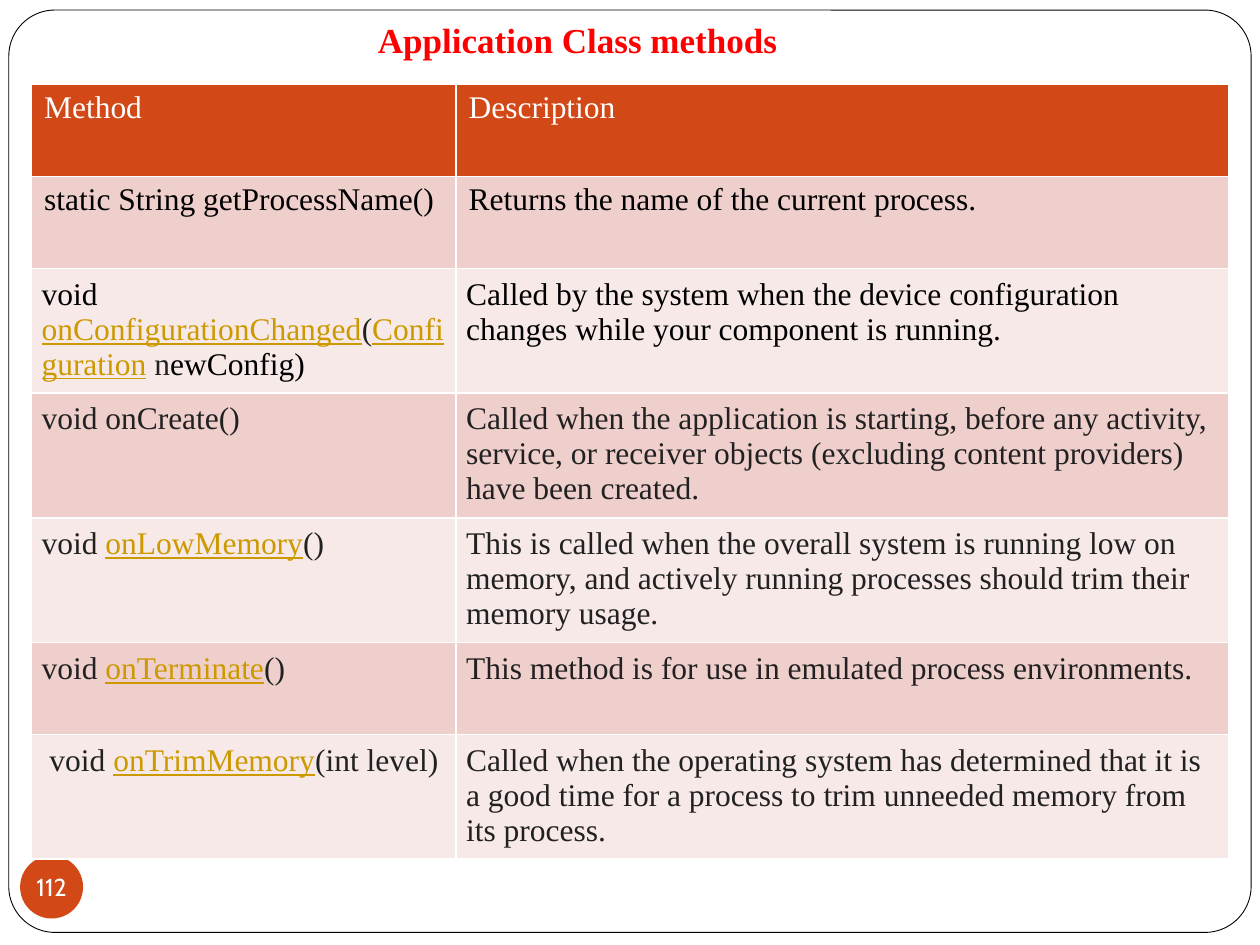
from dataclasses import dataclass

from lxml.etree import SubElement
from pptx import Presentation
from pptx.dml.color import RGBColor
from pptx.enum.shapes import MSO_SHAPE
from pptx.enum.text import MSO_ANCHOR, PP_ALIGN
from pptx.oxml.ns import qn
from pptx.util import Inches, Pt


@dataclass(frozen=True)
class Theme:
    """Colours, fonts and type sizes of the slide."""
    white: str = "FFFFFF"
    black: str = "000000"
    ink: str = "212121"
    link: str = "CC9900"
    title: str = "FF0000"
    accent: str = "D34817"
    bands: tuple = ("EFCFCC", "F7E9E8")
    body_font: str = "Times New Roman"
    number_font: str = "Cabin"
    title_size: int = 20
    body_size: int = 18
    number_size: int = 14


THEME = Theme()
BLACK, INK, LINK = THEME.black, THEME.ink, THEME.link
SHORT_ROW, TALL_ROW = 0.73, 0.98
HEADER = ("Method", "Description")
METHODS = [
    (SHORT_ROW,
     [("static String getProcessName()", BLACK)],
     [("Returns the name of the current process.", BLACK)]),
    (TALL_ROW,
     [("void ", BLACK), ("onConfigurationChanged", LINK), ("(", INK),
      ("Configuration", LINK), (" n", INK), ("ewConfig)", BLACK)],
     [("Called by the system when the device configuration changes while "
       "your component is running.", BLACK)]),
    (TALL_ROW,
     [("void onCreate()", INK)],
     [("Called when the application is starting, before any activity, service, "
       "or receiver objects (excluding content providers) have been created.", INK)]),
    (TALL_ROW,
     [("void ", INK), ("onLowMemory", LINK), ("()", INK)],
     [("This is called when the overall system is running low on memory, and "
       "actively running processes should trim their memory usage.", INK)]),
    (SHORT_ROW,
     [("void ", INK), ("onTerminate", LINK), ("()", INK)],
     [("This method is for use in emulated process environments.", INK)]),
    (TALL_ROW,
     [(" void ", INK), ("onTrimMemory", LINK), ("(int level)", INK)],
     [("Called when the operating system has determined that it is a good time "
       "for a process to trim unneeded memory from its process.", INK)]),
]


def rgb(value):
    """Return a colour object for a hex value."""
    return RGBColor.from_string(value)


def set_font(font, name, size, color):
    """Set the name, size and colour of a font."""
    font.name, font.size = name, Pt(size)
    font.color.rgb = rgb(color)


def set_margins(target, left, top, right, bottom):
    """Set the four text margins of a frame or cell."""
    target.margin_left, target.margin_top = Inches(left), Inches(top)
    target.margin_right, target.margin_bottom = Inches(right), Inches(bottom)


def add_frame(page, left, top, width, height):
    """Draw the rounded outline round the page."""
    frame = page.shapes.add_shape(MSO_SHAPE.ROUNDED_RECTANGLE, Inches(left),
                                  Inches(top), Inches(width), Inches(height))
    frame.adjustments[0] = 0.05
    frame.shadow.inherit = False
    frame.fill.solid()
    frame.fill.fore_color.rgb = rgb(THEME.white)
    frame.line.color.rgb = rgb(THEME.black)
    frame.line.width = Pt(0.5)


def add_title(page, text, left, top, width, height):
    """Place the centred title on the bottom of its box."""
    box = page.shapes.add_textbox(Inches(left), Inches(top), Inches(width), Inches(height))
    frame = box.text_frame
    frame.word_wrap = True
    frame.vertical_anchor = MSO_ANCHOR.BOTTOM
    set_margins(frame, 0.1, 0.05, 0.1, 0.1)
    para = frame.paragraphs[0]
    para.text = text
    para.alignment = PP_ALIGN.CENTER
    set_font(para.font, THEME.body_font, THEME.title_size, THEME.title)
    para.font.bold = True


def add_page_number(page, text, left, top, size):
    """Draw the round badge with the page number."""
    badge = page.shapes.add_shape(MSO_SHAPE.OVAL, Inches(left), Inches(top),
                                  Inches(size), Inches(size))
    badge.shadow.inherit = False
    badge.fill.solid()
    badge.fill.fore_color.rgb = rgb(THEME.accent)
    badge.line.fill.background()
    frame = badge.text_frame
    frame.word_wrap = False
    frame.vertical_anchor = MSO_ANCHOR.MIDDLE
    set_margins(frame, 0, 0, 0, 0)
    para = frame.paragraphs[0]
    para.text = text
    para.alignment = PP_ALIGN.CENTER
    set_font(para.font, THEME.number_font, THEME.number_size, THEME.white)


def add_borders(cell):
    """Give a cell thin white borders on all sides."""
    properties = cell._tc.get_or_add_tcPr()
    for side in "LRTB":
        line = SubElement(properties, qn(f"a:ln{side}"), w=str(Pt(1)))
        fill = SubElement(line, qn("a:solidFill"))
        SubElement(fill, qn("a:srgbClr"), val=THEME.white)


def fill_cell(cell, spans, fill):
    """Write coloured spans into a cell, underlining the links."""
    add_borders(cell)
    cell.fill.solid()
    cell.fill.fore_color.rgb = rgb(fill)
    para = cell.text_frame.paragraphs[0]
    for text, color in spans:
        span = para.add_run()
        span.text = text
        set_font(span.font, THEME.body_font, THEME.body_size, color)
        span.font.bold = False
        if color == THEME.link:
            span.font.underline = True


def add_method_table(page, left, top, widths):
    """Build the table of methods under its header row."""
    heights = [SHORT_ROW] + [height for height, *_ in METHODS]
    table = page.shapes.add_table(len(heights), len(widths), Inches(left), Inches(top),
                                  Inches(sum(widths)), Inches(sum(heights))).table
    for column, width in zip(table.columns, widths):
        column.width = Inches(width)
    for row, height in zip(table.rows, heights):
        row.height = Inches(height)
    for index, label in enumerate(HEADER):
        fill_cell(table.cell(0, index), [(label, THEME.white)], THEME.accent)
    for number, (_, *method) in enumerate(METHODS):
        for index, spans in enumerate(method):
            cell = table.cell(number + 1, index)
            fill_cell(cell, spans, THEME.bands[number % 2])
            if number:
                set_margins(cell, 0.08, 0.07, 0.08, 0.02)


def main():
    """Build the slide and save the deck."""
    deck = Presentation()
    deck.slide_width, deck.slide_height = Inches(10), Inches(7.5)
    page = deck.slides.add_slide(deck.slide_layouts[6])
    add_frame(page, 0.07, 0.08, 9.86, 7.32)
    add_title(page, "Application Class methods", 0.5, 0, 8.17, 0.58)
    add_page_number(page, "112", 0.16, 6.79, 0.5)
    add_method_table(page, 0.25, 0.67, (3.37, 6.13))
    deck.save("out.pptx")


if __name__ == "__main__":
    main()
